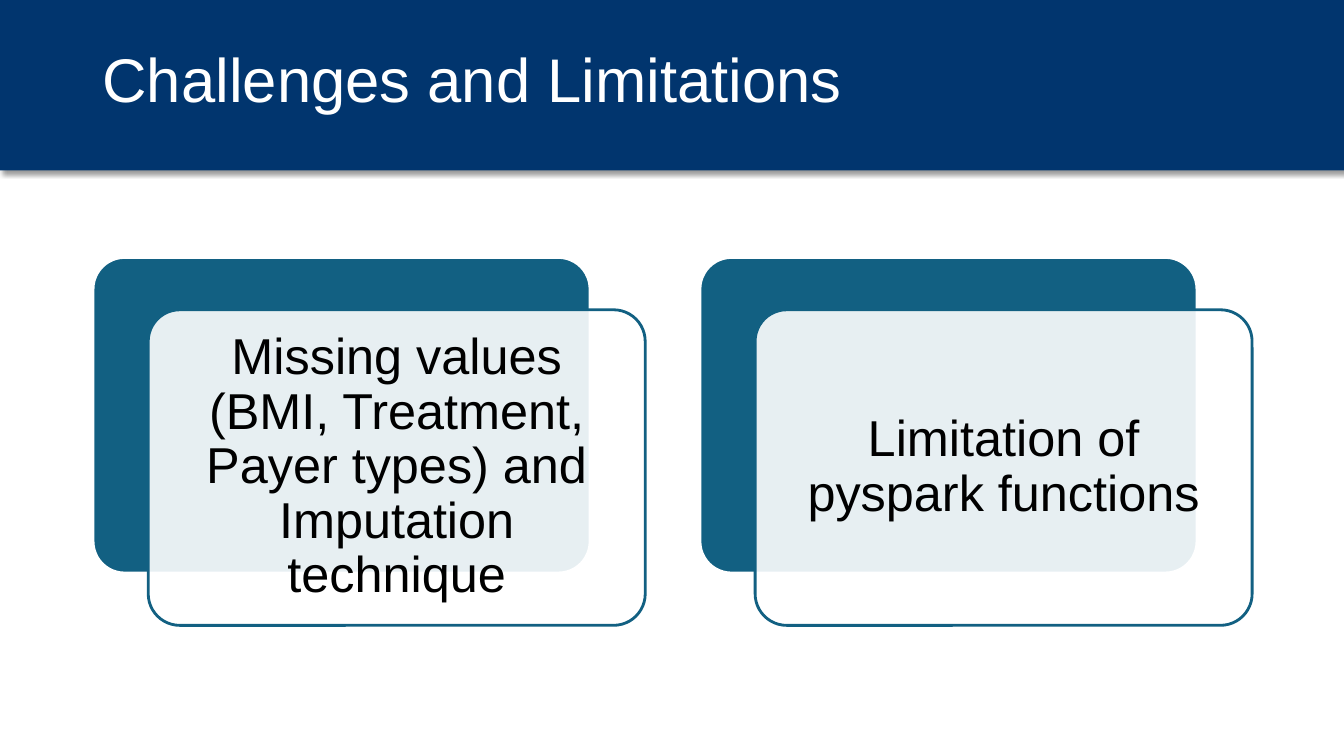
import pptx
import pptx.util
import pptx.dml.color
import pptx.enum.shapes
import pptx.enum.text
import pptx.oxml
import pptx.oxml.ns

Pt = pptx.util.Pt
RGBColor = pptx.dml.color.RGBColor
MSO_SHAPE = pptx.enum.shapes.MSO_SHAPE
MSO_ANCHOR = pptx.enum.text.MSO_ANCHOR
PP_ALIGN = pptx.enum.text.PP_ALIGN

TITLE = "Challenges and Limitations"
CHALLENGES = [
    "Missing values (BMI, Treatment, Payer types) and Imputation technique",
    "Limitation of pyspark functions",
]

NAVY = RGBColor(0x01, 0x35, 0x6E)
TEAL = RGBColor(0x12, 0x60, 0x82)
WHITE = RGBColor(0xFF, 0xFF, 0xFF)
BLACK = RGBColor(0, 0, 0)
FONT = "Arial"

SLIDE_WIDTH, SLIDE_HEIGHT = 960, 540
BANNER_HEIGHT = 121.7
CARD_LEFT, CARD_TOP = 66.5, 183.9
CARD_WIDTH, CARD_HEIGHT = 355, 225.4
CARD_PITCH = 433.5
FRONT_SHIFT_X, FRONT_SHIFT_Y = 39.4, 37.4
CARD_INSET = 10.8

BANNER_SHADOW = (
    f'<a:effectLst {pptx.oxml.ns.nsdecls("a")}>'
    '<a:outerShdw blurRad="50800" dist="38100" dir="2700000" algn="tl" rotWithShape="0">'
    '<a:srgbClr val="000000"><a:alpha val="40000"/></a:srgbClr>'
    "</a:outerShdw></a:effectLst>"
)


def add_block(slide, kind, left, top, width, height, fill):
    shape = slide.shapes.add_shape(kind, Pt(left), Pt(top), Pt(width), Pt(height))
    shape.shadow.inherit = False
    shape.fill.solid()
    shape.fill.fore_color.rgb = fill
    return shape


def add_card(slide, left, top, fill, line):
    card = add_block(slide, MSO_SHAPE.ROUNDED_RECTANGLE, left, top,
                     CARD_WIDTH, CARD_HEIGHT, fill)
    card.adjustments[0] = 0.1
    card.line.color.rgb = line
    card.line.width = Pt(2)
    return card


def write(frame, text, size, color, alignment):
    frame.word_wrap = True
    frame.text = text
    paragraph = frame.paragraphs[0]
    paragraph.alignment = alignment
    paragraph.line_spacing = 0.9
    paragraph.space_before = paragraph.space_after = Pt(0)
    paragraph.font.name = FONT
    paragraph.font.size = Pt(size)
    paragraph.font.color.rgb = color


def add_title(slide):
    title = slide.shapes.title
    title.left, title.top = Pt(66), Pt(28.8)
    title.width, title.height = Pt(828), Pt(104.4)
    frame = title.text_frame
    write(frame, TITLE, 44, WHITE, PP_ALIGN.LEFT)
    frame.auto_size = pptx.enum.text.MSO_AUTO_SIZE.NONE
    frame.vertical_anchor = MSO_ANCHOR.TOP
    frame.margin_left = frame.margin_right = Pt(7.2)
    frame.margin_top, frame.margin_bottom = Pt(6.7), Pt(3.6)

    banner = add_block(slide, MSO_SHAPE.RECTANGLE, 0, 0, SLIDE_WIDTH, BANNER_HEIGHT, NAVY)
    banner.line.fill.background()
    properties = banner.element.spPr
    properties.remove(properties.find(pptx.oxml.ns.qn("a:effectLst")))
    properties.append(pptx.oxml.parse_xml(BANNER_SHADOW))
    title.element.addprevious(banner.element)


def add_challenge(slide, index, text):
    left = CARD_LEFT + index * CARD_PITCH
    add_card(slide, left, CARD_TOP, TEAL, WHITE)
    front = add_card(slide, left + FRONT_SHIFT_X, CARD_TOP + FRONT_SHIFT_Y, WHITE, TEAL)
    color = front.element.spPr.find(pptx.oxml.ns.qn("a:solidFill"))[0]
    color.append(pptx.oxml.parse_xml(
        f'<a:alpha {pptx.oxml.ns.nsdecls("a")} val="90000"/>'))
    frame = front.text_frame
    write(frame, text, 36, BLACK, PP_ALIGN.CENTER)
    frame.vertical_anchor = MSO_ANCHOR.MIDDLE
    frame.margin_left = frame.margin_right = Pt(CARD_INSET)
    frame.margin_top = frame.margin_bottom = Pt(CARD_INSET)


def main():
    presentation = pptx.Presentation()
    presentation.slide_width = Pt(SLIDE_WIDTH)
    presentation.slide_height = Pt(SLIDE_HEIGHT)
    slide = presentation.slides.add_slide(presentation.slide_layouts[5])
    add_title(slide)
    for index, text in enumerate(CHALLENGES):
        add_challenge(slide, index, text)
    presentation.save("out.pptx")


if __name__ == "__main__":
    main()
